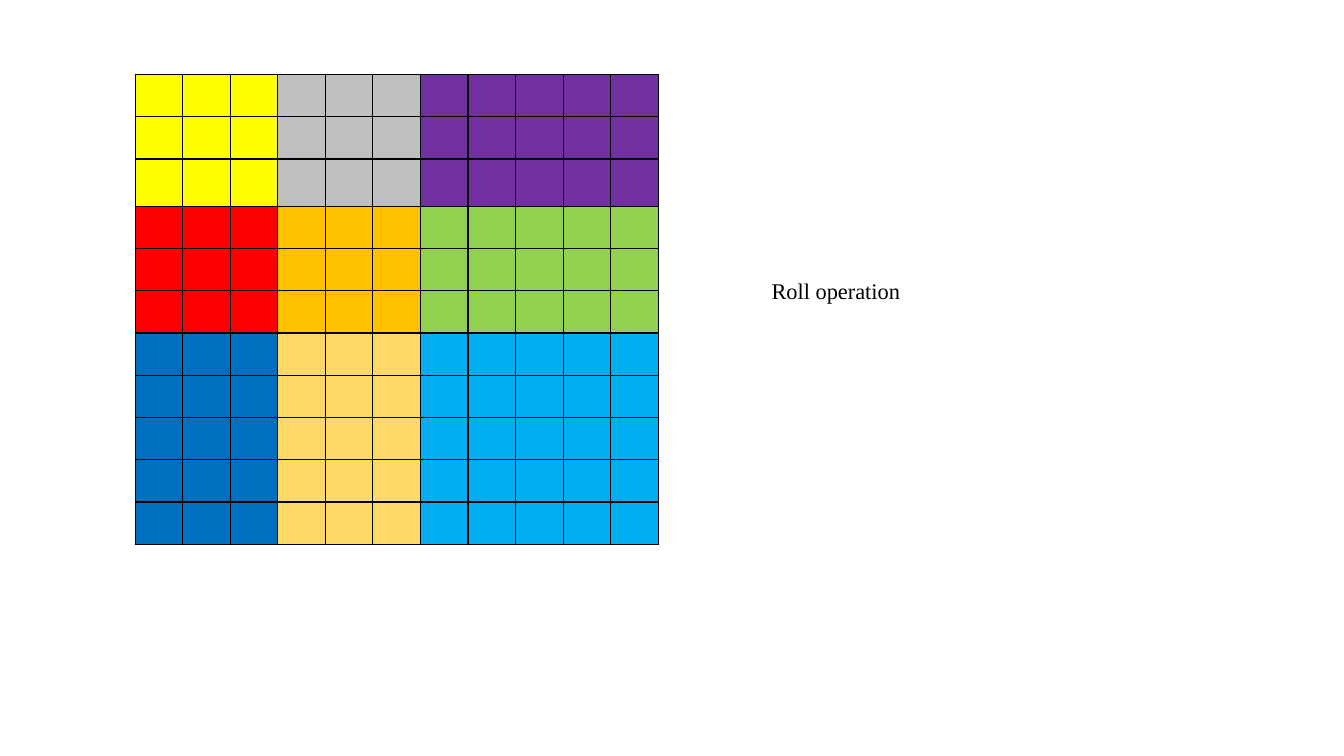
import pptx
import pptx.util
import pptx.dml.color
import pptx.enum.text
import pptx.oxml
import pptx.oxml.ns

Inches = pptx.util.Inches
Pt = pptx.util.Pt
RGBColor = pptx.dml.color.RGBColor

BLACK = RGBColor(0x00, 0x00, 0x00)
YELLOW = RGBColor(0xFF, 0xFF, 0x00)
GRAY = RGBColor(0xBF, 0xBF, 0xBF)
PURPLE = RGBColor(0x70, 0x30, 0xA0)
RED = RGBColor(0xFF, 0x00, 0x00)
ORANGE = RGBColor(0xFF, 0xC0, 0x00)
GREEN = RGBColor(0x92, 0xD0, 0x50)
BLUE = RGBColor(0x00, 0x70, 0xC0)
SAND = RGBColor(0xFF, 0xD9, 0x66)
SKY = RGBColor(0x00, 0xB0, 0xF0)

LABEL = "Roll operation"
BLOCK_SIZES = (3, 3, 5)
BLOCK_COLORS = (
    (YELLOW, GRAY, PURPLE),
    (RED, ORANGE, GREEN),
    (BLUE, SAND, SKY),
)
GRID_WIDTH, GRID_HEIGHT = 5.19, 4.66
TALL_ROW, TALL_HEIGHT = 2, 0.47


def add_borders(cell):
    tc_pr = cell._tc.get_or_add_tcPr()
    for side in ("lnL", "lnR", "lnT", "lnB"):
        tc_pr.append(pptx.oxml.parse_xml(
            f'<a:{side} {pptx.oxml.ns.nsdecls("a")} w="{Pt(1)}"><a:solidFill>'
            f'<a:srgbClr val="{BLACK}"/></a:solidFill></a:{side}>'))


prs = pptx.Presentation()
prs.slide_width, prs.slide_height = Inches(13.33), Inches(7.5)
s = prs.slides.add_slide(prs.slide_layouts[6])

block_of = [b for b, size in enumerate(BLOCK_SIZES) for _ in range(size)]
count = len(block_of)
table = s.shapes.add_table(count, count, Inches(1.34), Inches(0.74),
                           Inches(GRID_WIDTH), Inches(GRID_HEIGHT)).table
table.first_row = table.horz_banding = False
for col in table.columns:
    col.width = Inches(GRID_WIDTH / count)
for i, row in enumerate(table.rows):
    row.height = Inches(TALL_HEIGHT if i == TALL_ROW
                        else (GRID_HEIGHT - TALL_HEIGHT) / (count - 1))
    for j, cell in enumerate(row.cells):
        add_borders(cell)
        cell.fill.solid()
        cell.fill.fore_color.rgb = BLOCK_COLORS[block_of[i]][block_of[j]]

tf = s.shapes.add_textbox(Inches(6.78), Inches(2.7), Inches(3.02), Inches(0.37)).text_frame
tf.word_wrap = True
tf.auto_size = pptx.enum.text.MSO_AUTO_SIZE.SHAPE_TO_FIT_TEXT
p = tf.paragraphs[0]
p.alignment = pptx.enum.text.PP_ALIGN.CENTER
r = p.add_run()
r.text = LABEL
r.font.name = "Times New Roman"
r.font.size = Pt(16)
r.font.color.rgb = BLACK

prs.save("out.pptx")
